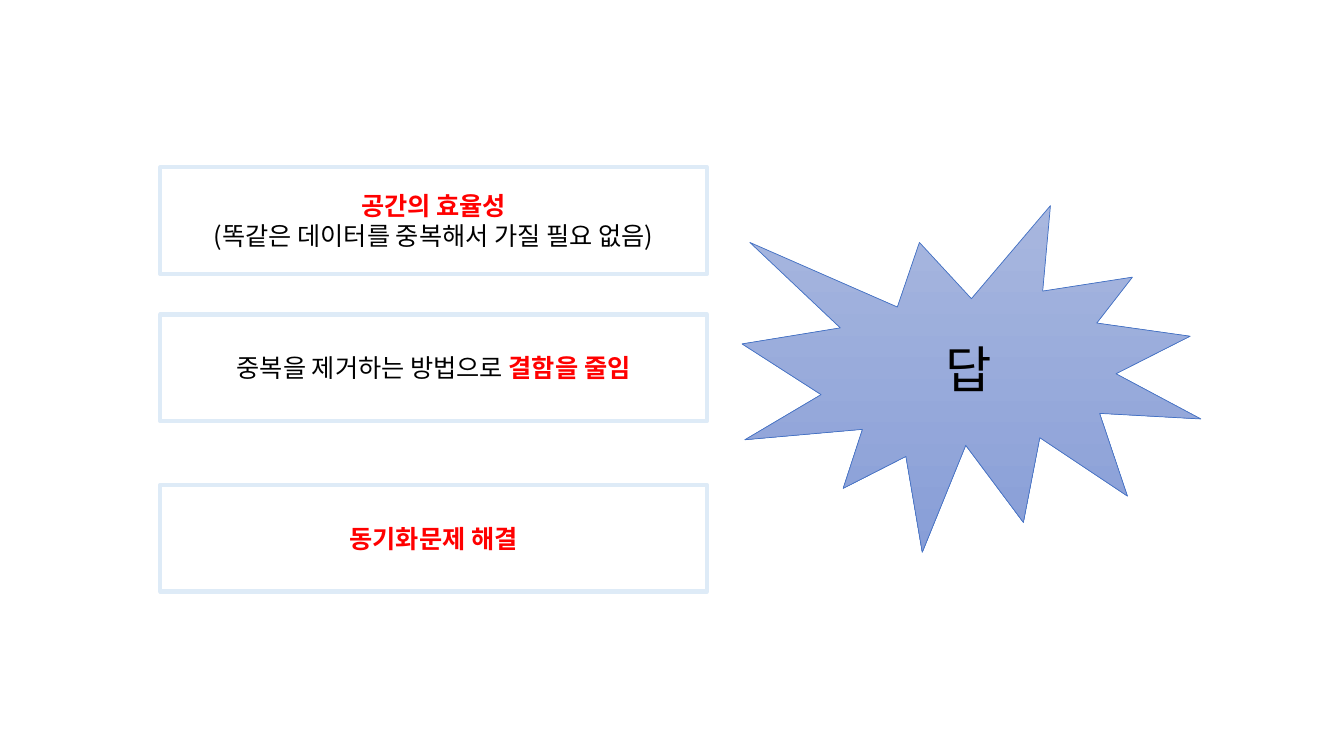
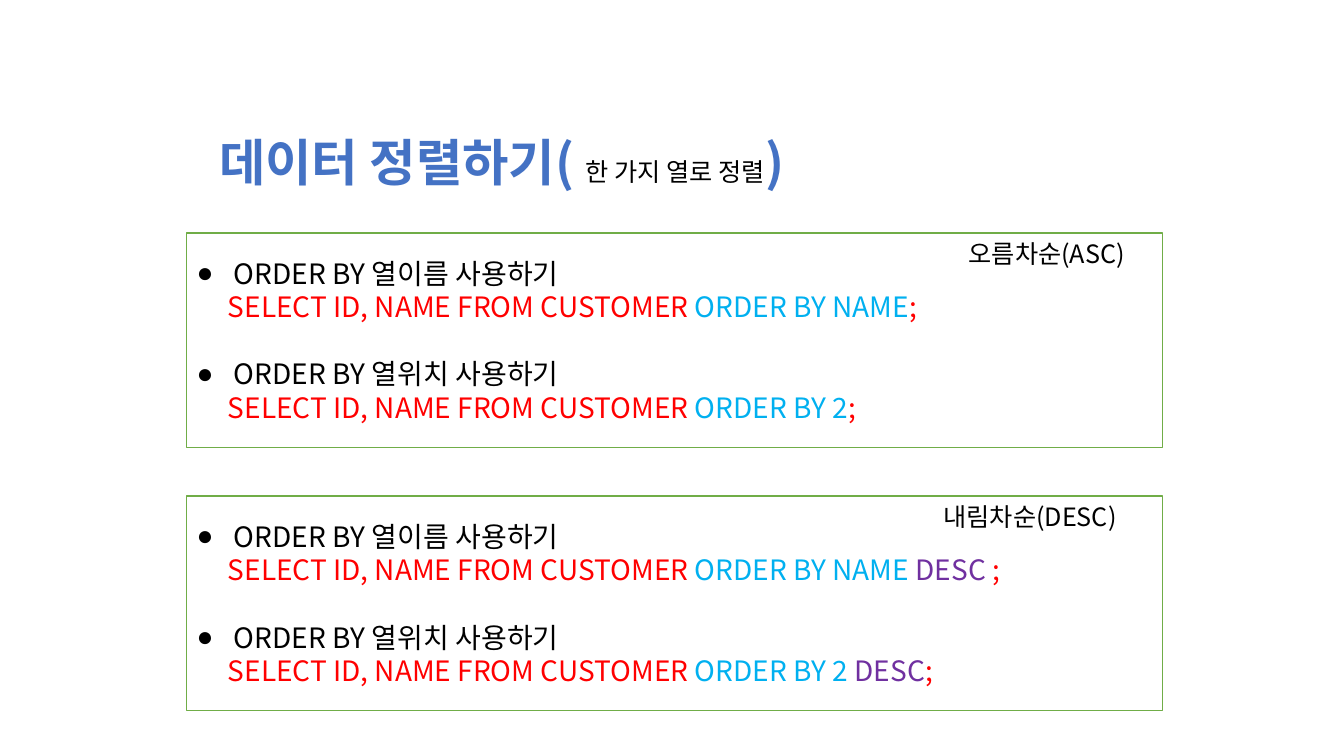
from lxml import etree
from pptx import Presentation
from pptx.dml.color import RGBColor
from pptx.enum.shapes import MSO_SHAPE
from pptx.enum.text import MSO_ANCHOR, MSO_AUTO_SIZE, PP_ALIGN
from pptx.oxml.ns import qn
from pptx.util import Inches, Pt

RECT, BURST = MSO_SHAPE.RECTANGLE, MSO_SHAPE.EXPLOSION1
LEFT, CENTER = PP_ALIGN.LEFT, PP_ALIGN.CENTER
MIDDLE, FIXED = MSO_ANCHOR.MIDDLE, MSO_AUTO_SIZE.NONE
PAIR, BLANK = 3, 6  # layouts: title with two lists, empty

FONT = "Noto Sans CJK KR"
BLACK, WHITE, RED = "000000", "FFFFFF", "FF0000"
BLUE, SKY, PURPLE = "4472C4", "00B0F0", "7030A0"
PALE, GREEN = "DEEBF7", "70AD47"
LEAD = 1.2  # line height as a share of the text size


def rgb(code):
    return RGBColor.from_string(code)


def place(shape, left, top, width, height):
    shape.left, shape.top = Inches(left), Inches(top)
    shape.width, shape.height = Inches(width), Inches(height)


def edge(shape, color, width):
    shape.line.color.rgb = rgb(color)
    shape.line.width = Pt(width)


def write(para, text, size=18, color=BLACK, bold=False, rim=None):
    """Add a run; rim is the colour of its outline."""
    run = para.add_run()
    run.text = text
    font = run.font
    font.size, font.bold, font.name = Pt(size), bold, FONT
    font.color.rgb = rgb(color)
    props = run._r.get_or_add_rPr()
    etree.SubElement(props, qn("a:ea"), typeface=FONT)
    if rim:
        line = etree.Element(qn("a:ln"), w=str(Pt(0.75)))
        fill = etree.SubElement(line, qn("a:solidFill"))
        etree.SubElement(fill, qn("a:srgbClr"), val=rim)
        props.insert(0, line)


def fill_text(shape, paras, size=18, align=CENTER, wrap=True):
    """Set paragraphs, each a list of (text, format) runs."""
    frame = shape.text_frame
    frame.auto_size, frame.word_wrap = FIXED, wrap
    frame.vertical_anchor = MIDDLE
    for i, runs in enumerate(paras):
        para = frame.add_paragraph() if i else frame.paragraphs[0]
        para.alignment = align
        para.line_spacing = Pt(size * LEAD)
        para.space_before = para.space_after = Pt(0)
        for text, style in runs:
            write(para, text, **{"size": size, **style})


def indent(para, left, mark=None):
    """Indent a paragraph, with a hanging bullet if mark is given."""
    props = para._p.get_or_add_pPr()
    props.set("marL", str(Inches(left)))
    props.set("indent", str(-Inches(left) if mark else 0))
    if mark:
        etree.SubElement(props, qn("a:buChar"), char=mark)
    else:
        etree.SubElement(props, qn("a:buNone"))


def add_card(slide, kind, area, paras, color, width, size=18):
    shape = slide.shapes.add_shape(kind, *map(Inches, area))
    shape.shadow.inherit = False
    shape.fill.background()
    edge(shape, color, width)
    fill_text(shape, paras, size)
    return shape


def add_label(slide, left, top, text):
    box = slide.shapes.add_textbox(*map(Inches, (left, top, 2.27, 0.4)))
    fill_text(box, [[(text, {})]], align=LEFT)


def set_query(body, top, tail, name_end, spot_end):
    """Frame a list of two ways to sort; tail is the word after the key."""
    place(body, 1.85, top, 9.68, 2.13)
    body.fill.solid()
    body.fill.fore_color.rgb = rgb(WHITE)
    edge(body, GREEN, 1)
    gap = " " if tail else ""
    paras = []
    for way, key, end in (("열이름", "NAME", name_end), ("열위치", "2", spot_end)):
        paras.append([(f"ORDER BY {way} 사용하기", {})])
        code = [("SELECT ID, NAME FROM CUSTOMER ", RED),
                (f"ORDER BY {key}{gap}", SKY), (tail, PURPLE), (end, RED)]
        paras.append([(text, {"color": tint}) for text, tint in code if text])
    fill_text(body, paras, 20, LEFT)
    lines = body.text_frame.paragraphs
    lines[2].space_before = Pt(20 * LEAD)
    for i, para in enumerate(lines):
        if i % 2:
            indent(para, 0.31)
        else:
            indent(para, 0.37, "●")


def add_answer(deck):
    slide = deck.slides.add_slide(deck.slide_layouts[BLANK])
    key = {"color": RED, "bold": True}
    cards = [
        (1.66, [[("공간의 효율성", key)],
                [("(똑같은 데이터를 중복해서 가질 필요 없음)", {})]]),
        (3.12, [[("중복을 제거하는 방법으로 ", {}), ("결함을 줄임", key)]]),
        (4.81, [[("동기화문제 해결", key)]]),
    ]
    for top, paras in cards:
        add_card(slide, RECT, (1.59, top, 5.42, 1.06), paras, PALE, 3)
    burst = add_card(slide, BURST, (7.36, 2.04, 4.55, 3.44),
                     [[("답", {})]], BLUE, 0.5, 36)
    burst.fill.gradient()
    burst.fill.gradient_angle = 270
    for stop, color in zip(burst.fill.gradient_stops, ("A8B7DF", "889ED7")):
        stop.color.rgb = rgb(color)


def add_sorting(deck):
    slide = deck.slides.add_slide(deck.slide_layouts[PAIR])
    title, rising, falling = slide.placeholders
    place(title, 1.73, 1.25, 6.49, 0.71)
    main_style = {"color": BLUE, "bold": True, "rim": WHITE}
    fill_text(title, [[("데이터 정렬하기( ", main_style),
                       ("한 가지 열로 정렬", {"size": 18}),
                       (")", main_style)]], 36, wrap=False)
    set_query(rising, 2.31, "", ";", ";")
    set_query(falling, 4.92, "DESC", " ;", ";")
    add_label(slide, 9.51, 2.31, "오름차순(ASC)")
    add_label(slide, 9.26, 4.92, "내림차순(DESC)")


def main():
    deck = Presentation()
    deck.slide_width, deck.slide_height = Inches(13.33), Inches(7.5)
    add_answer(deck)
    add_sorting(deck)
    deck.save("out.pptx")


if __name__ == "__main__":
    main()
